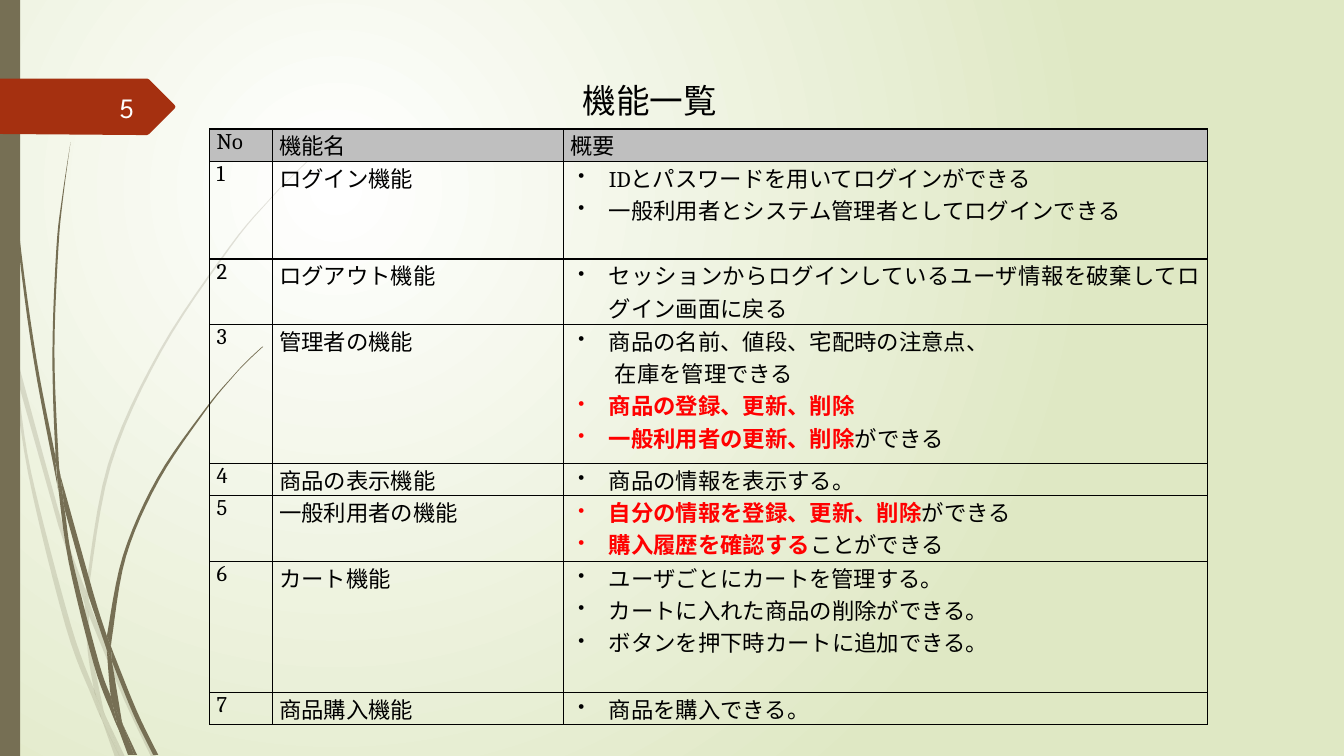
from collections import namedtuple
from dataclasses import dataclass

from lxml.etree import SubElement
from pptx import Presentation
from pptx.dml.color import RGBColor
from pptx.enum.shapes import MSO_SHAPE
from pptx.enum.text import MSO_ANCHOR as Anchor, PP_ALIGN as Align
from pptx.oxml import parse_xml
from pptx.oxml.ns import nsdecls, qn
from pptx.util import Inches, Pt

Box = namedtuple("Box", "left top width height")


@dataclass(frozen=True)
class Theme:
    olive: str = "766F54"
    rust: str = "A53010"
    centre: str = "FFFFFF"
    edge: str = "DFE8C4"
    header: str = "BFBFBF"
    ink: str = "000000"
    alert: str = "FF0000"
    number: str = "FEFFFF"
    display: str = "League Spartan"
    body: str = "Cambria"
    title_size: int = 24
    number_size: int = 20
    body_size: int = 16


THEME = Theme()

# Each blade piece is a list of edges; each edge runs smoothly through its points.
PALE_BLADES = [
    [[(0.11, 3.5), (0.09, 3.22), (0, 2.82)], [(0, 2.99), (0.1, 3.44), (0.11, 3.5)]],
    [[(0.58, 5.22), (0.84, 5.99)], [(0.85, 5.86), (0.62, 5.2), (0.14, 3.45)],
     [(0.17, 3.76), (0.58, 5.22)]],
    [[(0.92, 6.07), (0.88, 5.96)], [(0.88, 6.1), (1.23, 6.94), (1.5, 7.51)],
     [(1.55, 7.51), (1.27, 6.92), (0.92, 6.07)]],
    [[(1.19, 7.51), (1.24, 7.51)], [(1.05, 7.11), (1.19, 7.51)]],
    [[(0.93, 6.83), (0.7, 6.19), (0.31, 4.69), (0.17, 3.76), (0.11, 3.5)],
     [(0.11, 3.5), (0.28, 4.7), (0.65, 6.21), (0.92, 6.93), (1.01, 7.14)],
     [(0.99, 7.07), (0.93, 6.83)]],
    [[(0.84, 5.99), (0.87, 6.46), (0.93, 6.83), (0.96, 6.92), (1.05, 7.11)],
     [(1.03, 7.06), (0.91, 6.46), (0.88, 6.1), (0.88, 6.08)]],
    [[(0.88, 5.84), (1.1, 4.62), (1.6, 3.49), (2.29, 2.45), (2.68, 1.98), (2.9, 1.75),
      (3.12, 1.54)],
     [(3.12, 1.53), (2.89, 1.75), (2.68, 1.97), (2.28, 2.44), (1.58, 3.48), (1.07, 4.61),
      (0.85, 5.84)],
     [(0.85, 5.86), (0.88, 5.96)]],
    [[(1.01, 7.14), (1.14, 7.51)], [(1.19, 7.51), (1.01, 7.14)]],
    [[(0.88, 6.08), (0.88, 6.1)], [(0.88, 5.96), (0.85, 5.86)], [(0.84, 5.99), (0.88, 6.08)]],
    [[(0.96, 6.92), (0.93, 6.83)], [(0.99, 7.07), (1.01, 7.14), (1.19, 7.51)],
     [(1.05, 7.11), (0.96, 6.92)]],
]
DARK_BLADES = [
    [[(0.07, 1.1), (0.17, 2.33), (0.33, 3.55), (0.56, 4.77), (0.57, 4.81)],
     [(0.55, 4.57), (0.55, 4.53), (0.36, 3.55), (0.19, 2.32), (0.08, 1.09), (0.05, 0.48),
      (0.04, 0)],
     [(0.03, 0), (0.04, 0.48), (0.07, 1.1)]],
    [[(0.88, 5.92), (1.06, 6.45)], [(1.06, 6.33), (1.06, 6.31), (0.93, 5.9), (0.6, 4.72)],
     [(0.64, 5.05), (0.88, 5.92)]],
    [[(1.13, 6.49), (1.1, 6.41)], [(1.11, 6.56), (1.32, 7.08), (1.52, 7.49)],
     [(1.57, 7.49), (1.36, 7.06), (1.13, 6.49)]],
    [[(1.1, 6.91), (0.98, 6.57), (0.72, 5.56), (0.64, 5.05), (0.57, 4.77)],
     [(0.57, 4.77), (0.68, 5.57), (0.93, 6.59), (1.11, 7.08), (1.17, 7.22)],
     [(1.16, 7.17), (1.1, 6.91)]],
    [[(0.6, 4.72), (0.58, 4.53), (0.54, 3.49), (0.58, 2.45), (0.63, 1.93), (0.7, 1.41)],
     [(0.7, 1.41), (0.62, 1.93), (0.56, 2.45), (0.52, 3.49), (0.55, 4.49), (0.6, 4.72)]],
    [[(1.33, 7.49), (1.36, 7.49)], [(1.22, 7.19), (1.33, 7.49)]],
    [[(0.57, 4.77), (0.64, 5.05)], [(0.6, 4.72), (0.55, 4.49)], [(0.55, 4.53), (0.57, 4.77)]],
    [[(1.11, 6.33), (1.25, 5.52), (1.58, 4.76), (2.05, 4.06), (2.31, 3.74), (2.45, 3.59),
      (2.61, 3.44)],
     [(2.6, 3.44), (2.45, 3.58), (2.31, 3.73), (2.04, 4.05), (1.56, 4.74), (1.22, 5.51),
      (1.06, 6.31)],
     [(1.1, 6.41), (1.11, 6.33)]],
    [[(1.17, 7.22), (1.27, 7.49)], [(1.31, 7.49), (1.17, 7.22)]],
    [[(1.06, 6.45), (1.1, 6.91), (1.16, 7.06), (1.22, 7.19)],
     [(1.21, 7.16), (1.11, 6.56), (1.09, 6.51), (1.06, 6.45)]],
    [[(1.06, 6.45), (1.09, 6.51), (1.11, 6.56)], [(1.1, 6.41), (1.06, 6.31)]],
    [[(1.16, 7.06), (1.1, 6.91)], [(1.16, 7.17), (1.17, 7.22), (1.3, 7.49)],
     [(1.33, 7.49), (1.22, 7.19), (1.16, 7.06)]],
]
TAG_POINTS = [(0, 0), (1.46, 0), (1.48, 0.01), (1.73, 0.26), (1.74, 0.28), (1.73, 0.3),
              (1.48, 0.55), (1.46, 0.56), (1.36, 0.56), (0, 0.55)]

# A function is its name, row height and points; a point is (plain or red runs, bulleted).
FUNCTIONS = [
    ("ログイン機能", 0.97, [([("IDとパスワードを用いてログインができる", False)], True),
                      ([("一般利用者とシステム管理者としてログインできる", False)], True)]),
    ("ログアウト機能", 0.65, [
        ([("セッションからログインしているユーザ情報を破棄してログイン画面に戻る", False)], True)]),
    ("管理者の機能", 1.38, [([("商品の名前、値段、宅配時の注意点、", False)], True),
                      ([("在庫を管理できる", False)], False),
                      ([("商品の登録、更新、削除", True)], True),
                      ([("一般利用者の更新、削除", True), ("ができる", False)], True)]),
    ("商品の表示機能", 0.32, [([("商品の情報を表示する。", False)], True)]),
    ("一般利用者の機能", 0.65, [([("自分の情報を登録、更新、削除", True), ("ができる", False)], True),
                        ([("購入履歴を確認する", True), ("ことができる", False)], True)]),
    ("カート機能", 1.3, [([("ユーザごとにカートを管理する。", False)], True),
                    ([("カートに入れた商品の削除ができる。", False)], True),
                    ([("ボタンを押下時カートに追加できる。", False)], True)]),
    ("商品購入機能", 0.32, [([("商品を購入できる。", False)], True)]),
]


def rgb(colour):
    return RGBColor.from_string(colour)


def add_run(paragraph, text, font, size, colour, bold=False):
    run = paragraph.add_run()
    run.text = text
    run.font.name, run.font.size, run.font.bold = font, Pt(size), bold
    run.font.color.rgb = rgb(colour)


def paint(shape, colour):
    shape.shadow.inherit = False
    shape.fill.solid()
    shape.fill.fore_color.rgb = rgb(colour)
    shape.line.fill.background()


def smooth_edge(points, steps=6):
    """Return points along a Catmull-Rom curve through the given ones."""
    if len(points) == 2:
        return points
    padded = [points[0], *points, points[-1]]
    curve = [points[0]]
    for a, b, c, d in zip(padded, padded[1:], padded[2:], padded[3:]):
        for t in (step / steps for step in range(1, steps + 1)):
            curve.append(tuple(
                0.5 * (2 * q + (r - p) * t + (2 * p - 5 * q + 4 * r - s) * t ** 2
                       + (3 * q - p - 3 * r + s) * t ** 3)
                for p, q, r, s in zip(a, b, c, d)))
    return curve


def add_outline(shapes, box, points, colour):
    corners = [(Inches(box.left + x), Inches(box.top + y)) for x, y in points]
    builder = shapes.build_freeform(*corners[0])
    builder.add_line_segments(corners[1:], close=True)
    shape = builder.convert_to_shape()
    paint(shape, colour)
    return shape


def add_blades(slide, box, blades, opacity=100):
    group = slide.shapes.add_group_shape()
    for edges in blades:
        points = [point for edge in edges for point in smooth_edge(edge)]
        shape = add_outline(group.shapes, box, points, THEME.olive)
        if opacity < 100:
            colour = shape.element.spPr.find(f"{qn('a:solidFill')}/{qn('a:srgbClr')}")
            SubElement(colour, qn("a:alpha"), val=str(opacity * 1000))


def set_background(slide):
    fill = slide.background.fill
    fill.gradient()
    for stop, colour in zip(fill.gradient_stops, (THEME.centre, THEME.edge)):
        stop.color.rgb = rgb(colour)
    gradient = slide.element.find(f".//{qn('a:gradFill')}")
    gradient.replace(gradient.find(qn("a:lin")), parse_xml(
        f'<a:path {nsdecls("a")} path="circle">'
        '<a:fillToRect l="50000" t="50000" r="100000" b="100000"/></a:path>'))


def add_side_decoration(slide, box):
    add_blades(slide, box, PALE_BLADES, opacity=20)
    add_blades(slide, box, DARK_BLADES)
    paint(slide.shapes.add_shape(MSO_SHAPE.RECTANGLE, *map(Inches, box)), THEME.olive)


def add_number_tag(slide, box, number):
    add_outline(slide.shapes, box, TAG_POINTS, THEME.rust)
    label = slide.shapes.add_textbox(
        *map(Inches, (box.left + 0.58, box.top + 0.08, 0.85, 0.4)))
    label.text_frame.word_wrap = True
    label.text_frame.vertical_anchor = Anchor.MIDDLE
    paragraph = label.text_frame.paragraphs[0]
    paragraph.alignment = Align.RIGHT
    add_run(paragraph, number, THEME.display, THEME.number_size, THEME.number)


def set_title(slide, box, text):
    title = slide.shapes.title
    title.left, title.top, title.width, title.height = map(Inches, box)
    title.text_frame.vertical_anchor = Anchor.MIDDLE
    paragraph = title.text_frame.paragraphs[0]
    paragraph.alignment = Align.LEFT
    add_run(paragraph, text, THEME.display, THEME.title_size, THEME.ink)


def fill_cell(cell, points, fill=None):
    cell.margin_left = cell.margin_right = Inches(0.07)
    cell.margin_top = cell.margin_bottom = 0
    properties = cell._tc.get_or_add_tcPr()
    for side in "LRTB":
        properties.append(parse_xml(
            f'<a:ln{side} {nsdecls("a")} w="{Pt(1)}"><a:solidFill>'
            f'<a:srgbClr val="{THEME.ink}"/></a:solidFill></a:ln{side}>'))
    if fill:
        cell.fill.solid()
        cell.fill.fore_color.rgb = rgb(fill)
    else:
        cell.fill.background()
    for index, (runs, indent, bulleted) in enumerate(points):
        frame = cell.text_frame
        paragraph = frame.add_paragraph() if index else frame.paragraphs[0]
        paragraph.alignment = Align.JUSTIFY
        layout = paragraph._p.get_or_add_pPr()
        layout.set("marL", str(Inches(indent)))
        layout.set("indent", str(-Inches(indent) if bulleted else 0))
        if bulleted:
            SubElement(layout, qn("a:buFont"), typeface=THEME.body)
            SubElement(layout, qn("a:buChar"), char="・")
        for text, red in runs:
            add_run(paragraph, text, THEME.body, THEME.body_size,
                    THEME.alert if red else THEME.ink, red)


def add_function_table(slide, box):
    frame = slide.shapes.add_table(len(FUNCTIONS) + 1, 3, *map(Inches, box))
    table = frame.table
    table.first_row = table.horz_banding = False
    for column, width in zip(table.columns, (0.62, 2.89, 6.39)):
        column.width = Inches(width)
    table.rows[0].height = Inches(0.32)
    for column, heading in enumerate(("No", "機能名", "概要")):
        fill_cell(table.cell(0, column), [([(heading, False)], 0, False)], THEME.header)
    for number, (name, height, points) in enumerate(FUNCTIONS, 1):
        table.rows[number].height = Inches(height)
        for column, text in enumerate((str(number), name)):
            fill_cell(table.cell(number, column), [([(text, False)], 0, False)])
        fill_cell(table.cell(number, 2), [
            (runs, 0.38 if bulleted else 0.44, bulleted) for runs, bulleted in points])


def main():
    presentation = Presentation()
    presentation.slide_width, presentation.slide_height = Inches(13.33), Inches(7.5)
    slide = presentation.slides.add_slide(presentation.slide_layouts[5])
    set_background(slide)
    add_side_decoration(slide, Box(0, 0, 0.2, 7.5))
    add_number_tag(slide, Box(0, 0.78, 1.74, 0.55), "5")
    add_function_table(slide, Box(2.08, 1.28, 9.9, 5.92))
    set_title(slide, Box(5.68, 0.74, 1.73, 0.5), "機能一覧")
    presentation.save("out.pptx")


if __name__ == "__main__":
    main()
